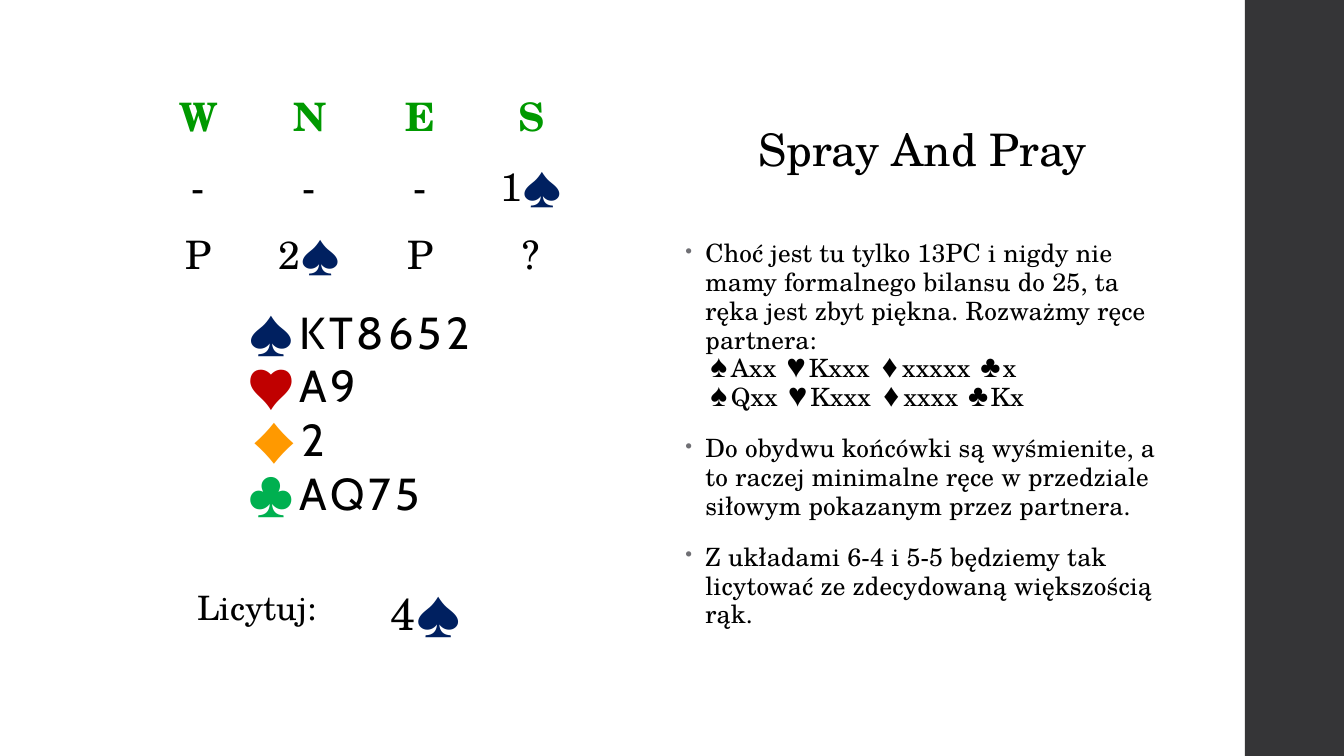
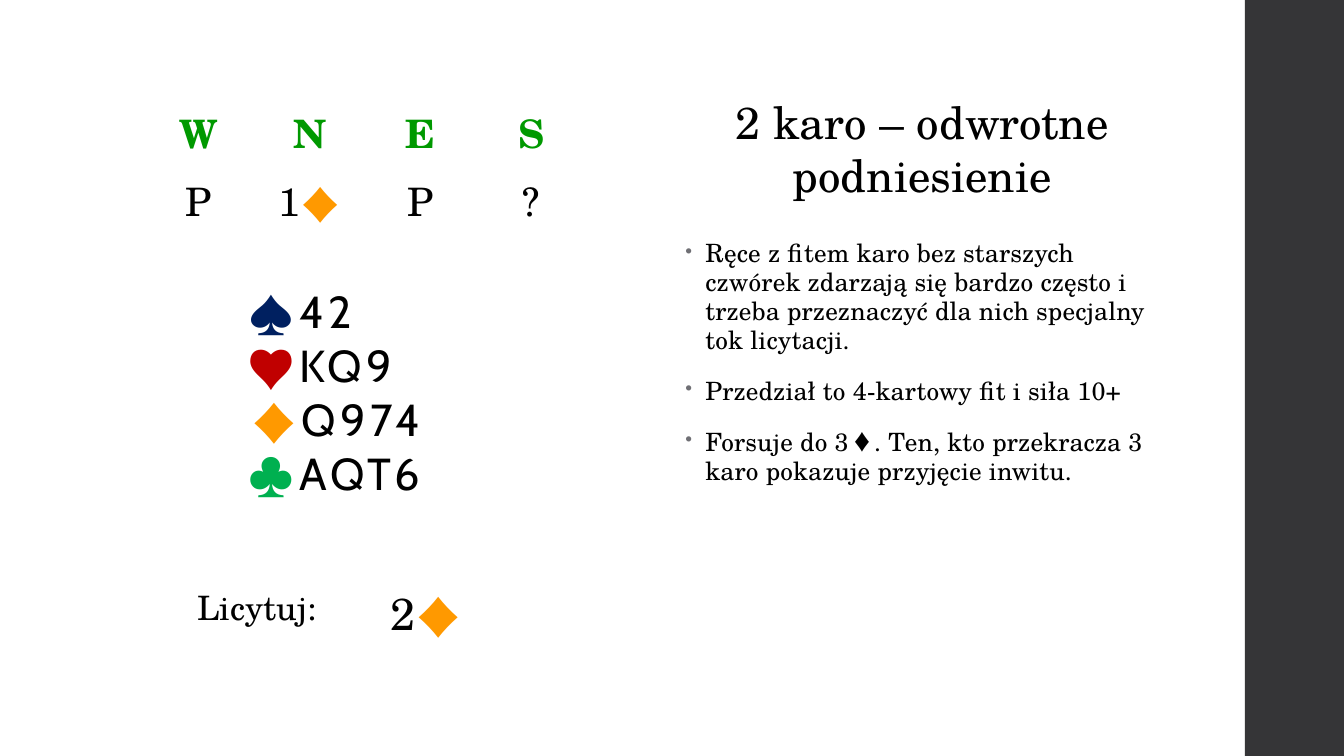
import pptx
import pptx.dml.color
import pptx.enum.shapes
import pptx.enum.text
import pptx.oxml
import pptx.oxml.ns
import pptx.util

Pt = pptx.util.Pt
ALIGN = pptx.enum.text.PP_ALIGN
MIDDLE = pptx.enum.text.MSO_ANCHOR.MIDDLE
FIT_SHAPE = pptx.enum.text.MSO_AUTO_SIZE.SHAPE_TO_FIT_TEXT

COLORS = {
    "text": "000000",
    "band": "353537",
    "seat": "009900",
    "bullet": "6F6F74",
    "♠": "002060",
    "♥": "C00000",
    "♦": "FF9900",
    "♣": "00B050",
}
SUITS = "♠♥♦♣"
TEXT_FONT = "TeX Gyre Schola"
CARD_FONT = "Cabin"
WIDTH, HEIGHT = 960, 540
BAND_LEFT = 889.2
TEXT_LEFT, TEXT_WIDTH = 482.4, 353
TITLE_MIDDLE = 105.8


def color(name):
    return pptx.dml.color.RGBColor.from_string(COLORS[name])


def add_properties(paragraph, *fragments):
    """Append XML elements, in schema order, to the paragraph properties."""
    properties = paragraph._p.get_or_add_pPr()
    namespace = pptx.oxml.ns.nsdecls("a")
    for tag, content in fragments:
        properties.append(pptx.oxml.parse_xml(f"<a:{tag} {namespace} {content}"))


class BiddingDeck:
    def __init__(self):
        self.deck = pptx.Presentation()
        self.deck.slide_width = Pt(WIDTH)
        self.deck.slide_height = Pt(HEIGHT)
        self.page = None

    def new_page(self):
        self.page = self.deck.slides.add_slide(self.deck.slide_layouts[6])
        band = self.page.shapes.add_shape(
            pptx.enum.shapes.MSO_SHAPE.RECTANGLE,
            Pt(BAND_LEFT), Pt(0), Pt(WIDTH - BAND_LEFT), Pt(HEIGHT))
        band.shadow.inherit = False
        band.fill.solid()
        band.fill.fore_color.rgb = color("band")
        band.line.fill.background()

    def style(self, span, size, shade="text", font=TEXT_FONT, bold=False, spacing=0):
        span.font.size = Pt(size)
        span.font.name = font
        span.font.bold = bold
        span.font.color.rgb = color(shade)
        if spacing:
            span._r.get_or_add_rPr().set("spc", str(round(spacing * 100)))

    def add_span(self, para, text, size, **look):
        span = para.add_run()
        span.text = text
        self.style(span, size, **look)

    def add_bid(self, para, bid, size, **look):
        """Add a bid, with a closing suit symbol in the colour of its suit."""
        level = bid.rstrip(SUITS)
        self.add_span(para, level, size, **look)
        suit = bid[len(level):]
        if suit:
            self.add_span(para, suit, size, shade=suit, font=CARD_FONT, spacing=3)

    def text_box(self, left, top, width, height):
        box = self.page.shapes.add_textbox(Pt(left), Pt(top), Pt(width), Pt(height))
        box.text_frame.word_wrap = True
        return box.text_frame

    def table(self, left, top, widths, row_count, row_height):
        frame = self.page.shapes.add_table(
            row_count, len(widths), Pt(left), Pt(top),
            Pt(sum(widths)), Pt(row_count * row_height))
        table = frame.table
        table.first_row = table.horz_banding = False
        for column, width in zip(table.columns, widths):
            column.width = Pt(width)
        for cell in table.iter_cells():
            cell.fill.background()
            cell.vertical_anchor = MIDDLE
            cell.text_frame.paragraphs[0].alignment = ALIGN.CENTER
        return table

    def auction(self, top, rounds):
        rows = ["WNES", *rounds]
        table = self.table(102.2, top, [79.2] * 4, len(rows), 49)
        for row, bids in enumerate(rows):
            look = {} if row else {"shade": "seat", "bold": True}
            for column, bid in enumerate(bids):
                para = table.cell(row, column).text_frame.paragraphs[0]
                self.add_bid(para, bid, 28, **look)

    def body(self, texts):
        frame = self.text_box(TEXT_LEFT, 167.8, TEXT_WIDTH, 324.7)
        for index, text in enumerate(texts):
            para = frame.add_paragraph() if index else frame.paragraphs[0]
            para.text = text
            para.line_spacing = 0.95
            para.space_before = Pt(14)
            para.space_after = Pt(2)
            properties = para._p.get_or_add_pPr()
            properties.set("marL", str(Pt(14.4)))
            properties.set("indent", str(Pt(-14.4)))
            add_properties(
                para,
                ("buClr", f'><a:srgbClr val="{COLORS["bullet"]}"/></a:buClr>'),
                ("buSzPct", 'val="80000"/>'),
                ("buChar", 'char="•"/>'))
            for span in para.runs:
                self.style(span, 18, spacing=0.1)

    def hand(self, top, holdings):
        frame = self.text_box(134.6, top, 251.3, 162.7)
        frame.auto_size = FIT_SHAPE
        stops = "".join(f'<a:tab pos="{Pt(stop)}" algn="{side}"/>'
                        for stop, side in ((36, "r"), (50.4, "l")))
        for index, (suit, cards) in enumerate(zip(SUITS, holdings)):
            para = frame.add_paragraph() if index else frame.paragraphs[0]
            properties = para._p.get_or_add_pPr()
            properties.set("marL", str(Pt(2 if suit == "♦" else 0)))
            properties.set("indent", "0")
            add_properties(para, ("tabLst", f">{stops}</a:tabLst>"))
            for text, size, shade in (("\t", 28 if index == 0 else 32, "text"),
                                      (suit + "\t", 32, suit),
                                      (cards, 32, "text")):
                self.add_span(para, text, size, shade=shade, font=CARD_FONT, spacing=3)

    def title(self, text, height):
        """Place a title around the common middle line."""
        frame = self.text_box(TEXT_LEFT, TITLE_MIDDLE - height / 2, TEXT_WIDTH, height)
        frame.auto_size = FIT_SHAPE
        frame.vertical_anchor = MIDDLE
        para = frame.paragraphs[0]
        para.alignment = ALIGN.CENTER
        self.add_span(para, text, 32)

    def answer(self, bid):
        table = self.table(95, 410.4, [177.1, 113.8], 1, 45)
        label, reply = (cell.text_frame.paragraphs[0] for cell in table.iter_cells())
        self.add_span(label, "Licytuj:", 24)
        reply.alignment = ALIGN.LEFT
        self.add_bid(reply, bid, 32)

    def problem(self, title, title_height, auction_top, rounds, hand_top, holdings,
                texts, bid):
        self.new_page()
        self.auction(auction_top, rounds)
        self.body(texts)
        self.hand(hand_top, holdings)
        self.title(title, title_height)
        self.answer(bid)


def main():
    bidding = BiddingDeck()
    bidding.problem(
        title="Spray And Pray", title_height=46,
        auction_top=57.6,
        rounds=[["-", "-", "-", "1♠"], ["P", "2♠", "P", "?"]],
        hand_top=213.8, holdings=["KT8652", "A9", "2", "AQ75"],
        texts=[
            "Choć jest tu tylko 13PC i nigdy nie mamy formalnego bilansu do 25, "
            "ta ręka jest zbyt piękna. Rozważmy ręce partnera:\v"
            "♠Axx ♥Kxxx ♦xxxxx ♣x\v♠Qxx ♥Kxxx ♦xxxx ♣Kx",
            "Do obydwu końcówki są wyśmienite, a to raczej minimalne ręce "
            "w przedziale siłowym pokazanym przez partnera.",
            "Z układami 6-4 i 5-5 będziemy tak licytować ze zdecydowaną "
            "większością rąk.",
        ],
        bid="4♠")
    bidding.problem(
        title="2 karo – odwrotne podniesienie", title_height=85,
        auction_top=69.8,
        rounds=[["P", "1♦", "P", "?"]],
        hand_top=199.4, holdings=["42", "KQ9", "Q974", "AQT6"],
        texts=[
            "Ręce z fitem karo bez starszych czwórek zdarzają się bardzo często "
            "i trzeba przeznaczyć dla nich specjalny tok licytacji.",
            "Przedział to 4-kartowy fit i siła 10+",
            "Forsuje do 3♦. Ten, kto przekracza 3 karo pokazuje przyjęcie inwitu.",
        ],
        bid="2♦")
    bidding.deck.save("out.pptx")


if __name__ == "__main__":
    main()
